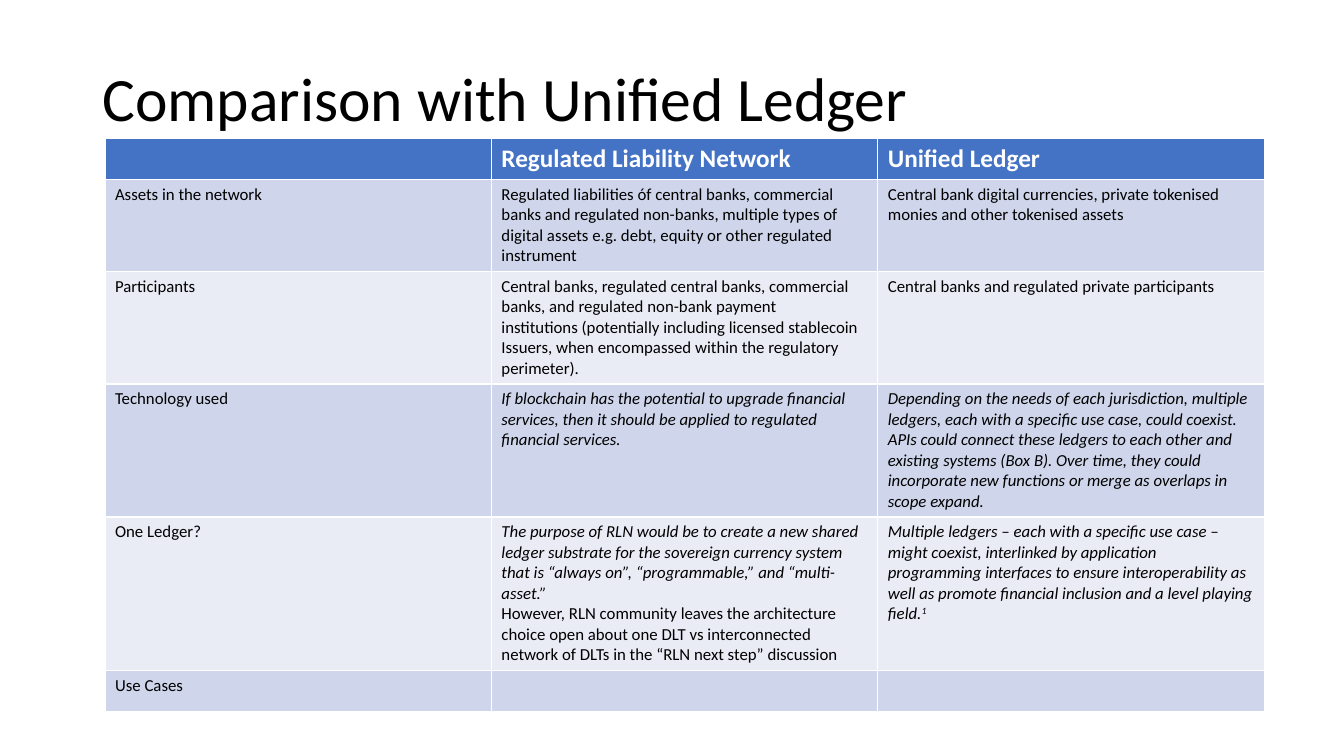
from pptx import Presentation
from pptx.dml.color import RGBColor
from pptx.enum.text import MSO_ANCHOR, PP_ALIGN
from pptx.util import Inches, Pt

LEFT = PP_ALIGN.LEFT
MIDDLE = MSO_ANCHOR.MIDDLE
FONT = "Calibri"
TITLE_ONLY = 5
GRID_COLUMNS = 160
GRID_ROWS = 90
TITLE_BOX = (11, 3.4, 138, 17.4)
COMPARISON_BOX = (12.5, 16.44, 138, 29.52)
HEADER_FILL = "4472C4"
BAND_FILLS = ("CFD5EA", "E9EBF5")
BLACK = "000000"
WHITE = "FFFFFF"
QUOTE = "quote"
PLAIN = "plain"

HEADINGS = ("", "Regulated Liability Network", "Unified Ledger")
COMPARISON = (
    (
        "Assets in the network",
        [(PLAIN, "Regulated liabilities óf central banks, commercial banks and regulated "
                 "non-banks, multiple types of digital assets e.g. debt, equity or other "
                 "regulated instrument")],
        [(PLAIN, "Central bank digital currencies, private tokenised monies and other "
                 "tokenised assets")],
    ),
    (
        "Participants",
        [(PLAIN, "Central banks, regulated central banks, commercial banks, and regulated "
                 "non-bank payment"),
         (PLAIN, "institutions (potentially including licensed stablecoin Issuers, when "
                 "encompassed within the regulatory perimeter).")],
        [(PLAIN, "Central banks and regulated private participants")],
    ),
    (
        "Technology used",
        [(QUOTE, "If blockchain has the potential to upgrade financial services, then it "
                 "should be applied to regulated financial services.")],
        [(QUOTE, "Depending on the needs of each jurisdiction, multiple ledgers, each with a "
                 "specific use case, could coexist. APIs could connect these ledgers to each "
                 "other and existing systems (Box B). Over time, they could incorporate new "
                 "functions or merge as overlaps in scope expand.")],
    ),
    (
        "One Ledger?",
        [(QUOTE, "The purpose of RLN would be to create a new shared ledger substrate for the "
                 "sovereign currency system that is “always on”, “programmable,” and "
                 "“multi-asset.”"),
         (PLAIN, "However, RLN community leaves the architecture choice open about one DLT vs "
                 "interconnected network of DLTs in the “RLN next step” discussion")],
        [(QUOTE, "Multiple ledgers – each with a specific use case – might coexist, "
                 "interlinked by application programming interfaces to ensure "
                 "interoperability as well as promote financial inclusion and a level "
                 "playing field.", "1")],
    ),
    ("Use Cases", [], []),
)


def rgb(hex_value):
    """Turn a hex string into a colour."""
    return RGBColor.from_string(hex_value)


def grid_box(prs, box):
    """Convert a box in grid units to slide lengths."""
    column = prs.slide_width / GRID_COLUMNS
    row = prs.slide_height / GRID_ROWS
    left, top, width, height = box
    return [round(n) for n in (left * column, top * row, width * column, height * row)]


def style(paragraph, size, color, bold=False, italic=False):
    """Set the shared font and the given look on a paragraph."""
    font = paragraph.font
    font.name, font.size = FONT, Pt(size)
    font.bold, font.italic = bold, italic
    font.color.rgb = rgb(color)


def add_title(slide, box, wording):
    """Place the title placeholder in its box."""
    title = slide.shapes.title
    title.left, title.top, title.width, title.height = box
    title.text_frame.text = wording
    title.text_frame.vertical_anchor = MIDDLE
    heading = title.text_frame.paragraphs[0]
    heading.alignment = LEFT
    heading.line_spacing = 0.9
    style(heading, 44, BLACK)


def fill_cell(cell, fill, passages, size, color, bold=False):
    """Colour a cell and write its passages, with any footnote mark raised."""
    cell.fill.solid()
    cell.fill.fore_color.rgb = rgb(fill)
    for index, (kind, wording, *notes) in enumerate(passages):
        frame = cell.text_frame
        paragraph = frame.add_paragraph() if index else frame.paragraphs[0]
        paragraph.add_run().text = wording
        for note in notes:
            mark = paragraph.add_run()
            mark.text = note
            mark.font._element.set("baseline", "30000")
        style(paragraph, size, color, bold, kind == QUOTE)


def add_comparison(slide, box):
    """Draw the comparison table with a header and banded rows."""
    table = slide.shapes.add_table(len(COMPARISON) + 1, len(HEADINGS), *box).table
    for column, heading in enumerate(HEADINGS):
        passages = [(PLAIN, heading)] if heading else []
        fill_cell(table.cell(0, column), HEADER_FILL, passages, 18, WHITE, bold=True)
    for row, (topic, *answers) in enumerate(COMPARISON, start=1):
        band = BAND_FILLS[(row - 1) % len(BAND_FILLS)]
        for column, passages in enumerate([[(PLAIN, topic)], *answers]):
            fill_cell(table.cell(row, column), band, passages, 12, BLACK)


def main():
    """Build and save the slide."""
    prs = Presentation()
    prs.slide_width, prs.slide_height = Inches(13.33), Inches(7.5)
    slide = prs.slides.add_slide(prs.slide_layouts[TITLE_ONLY])
    add_title(slide, grid_box(prs, TITLE_BOX), "Comparison with Unified Ledger")
    add_comparison(slide, grid_box(prs, COMPARISON_BOX))
    prs.save("out.pptx")


if __name__ == "__main__":
    main()
